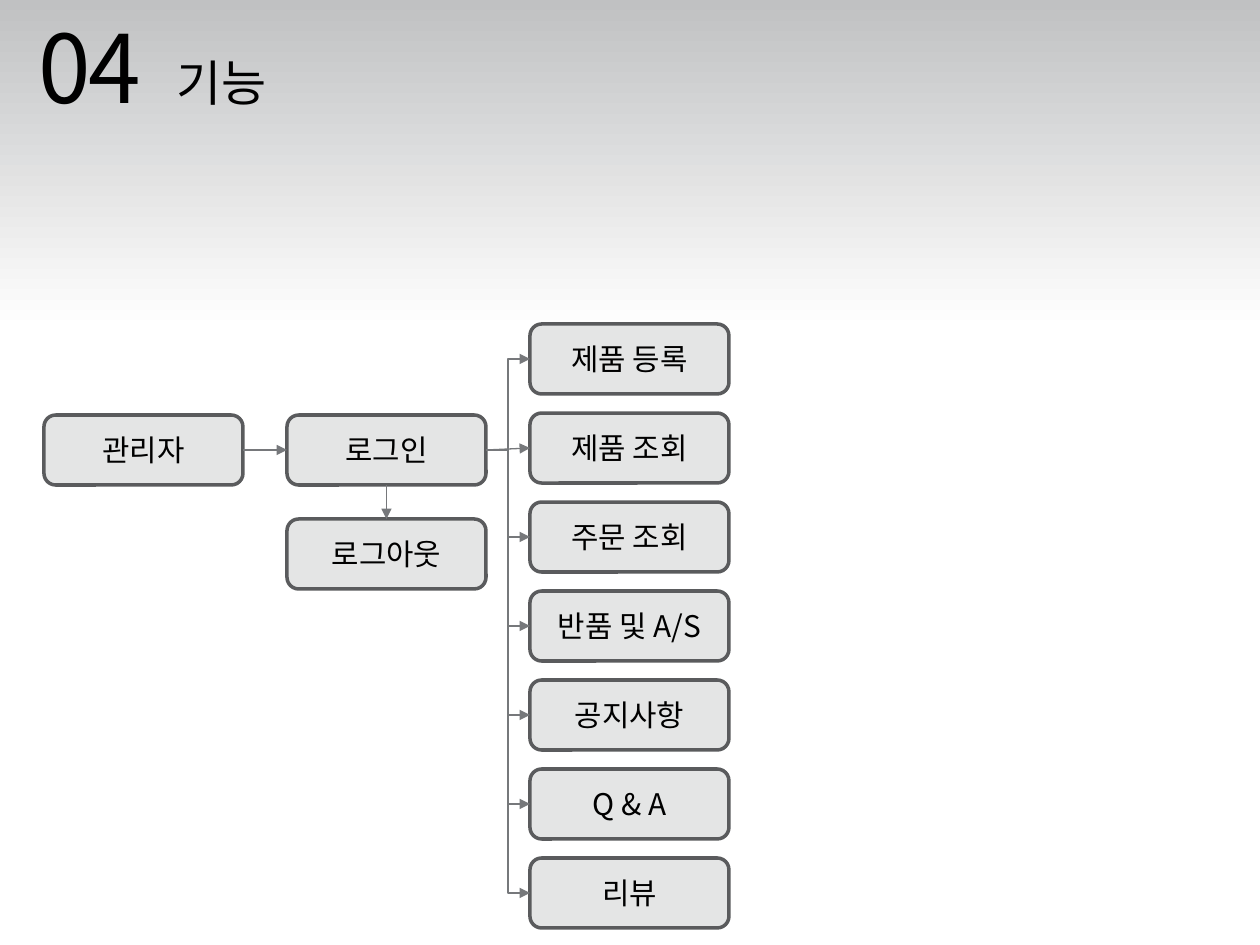
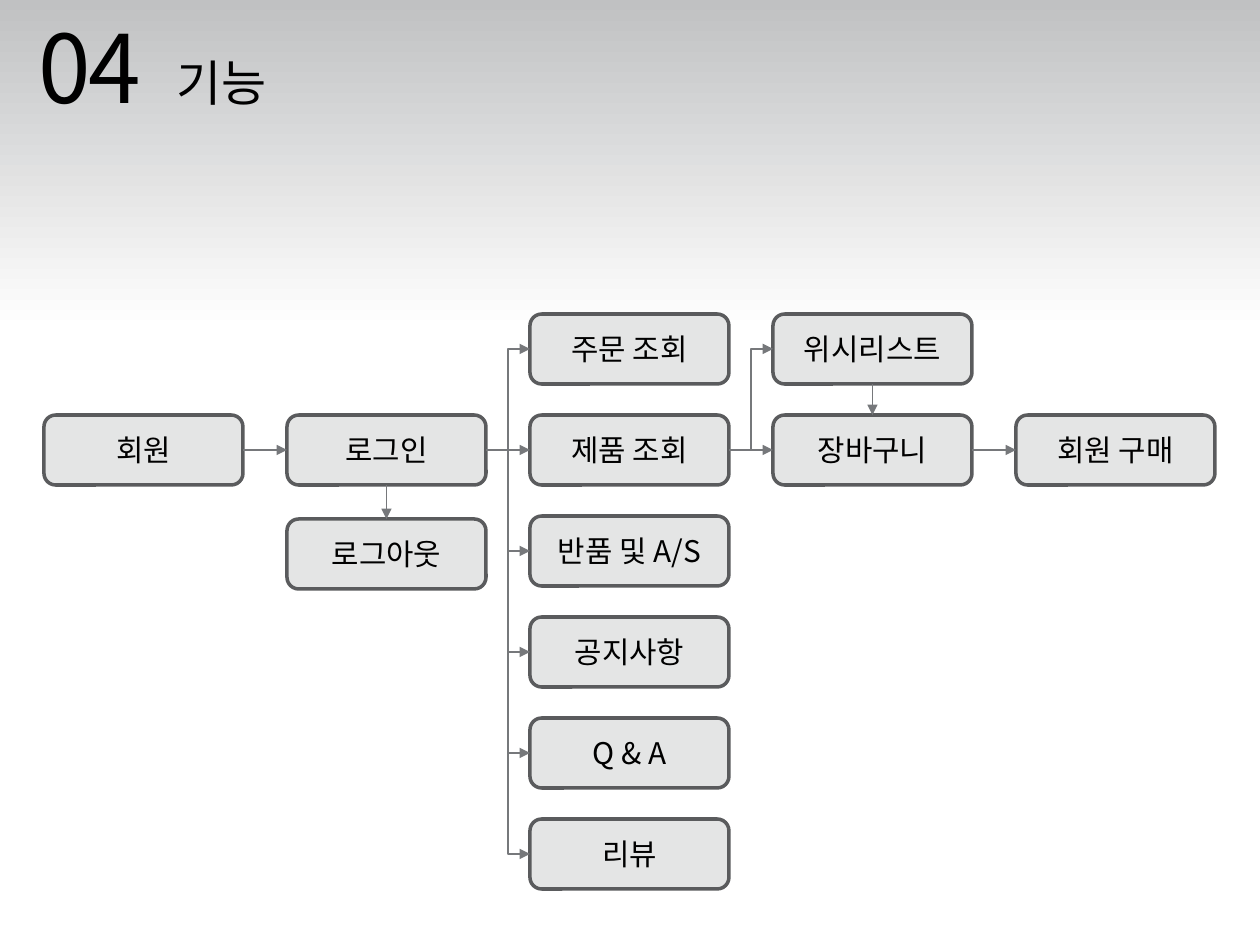
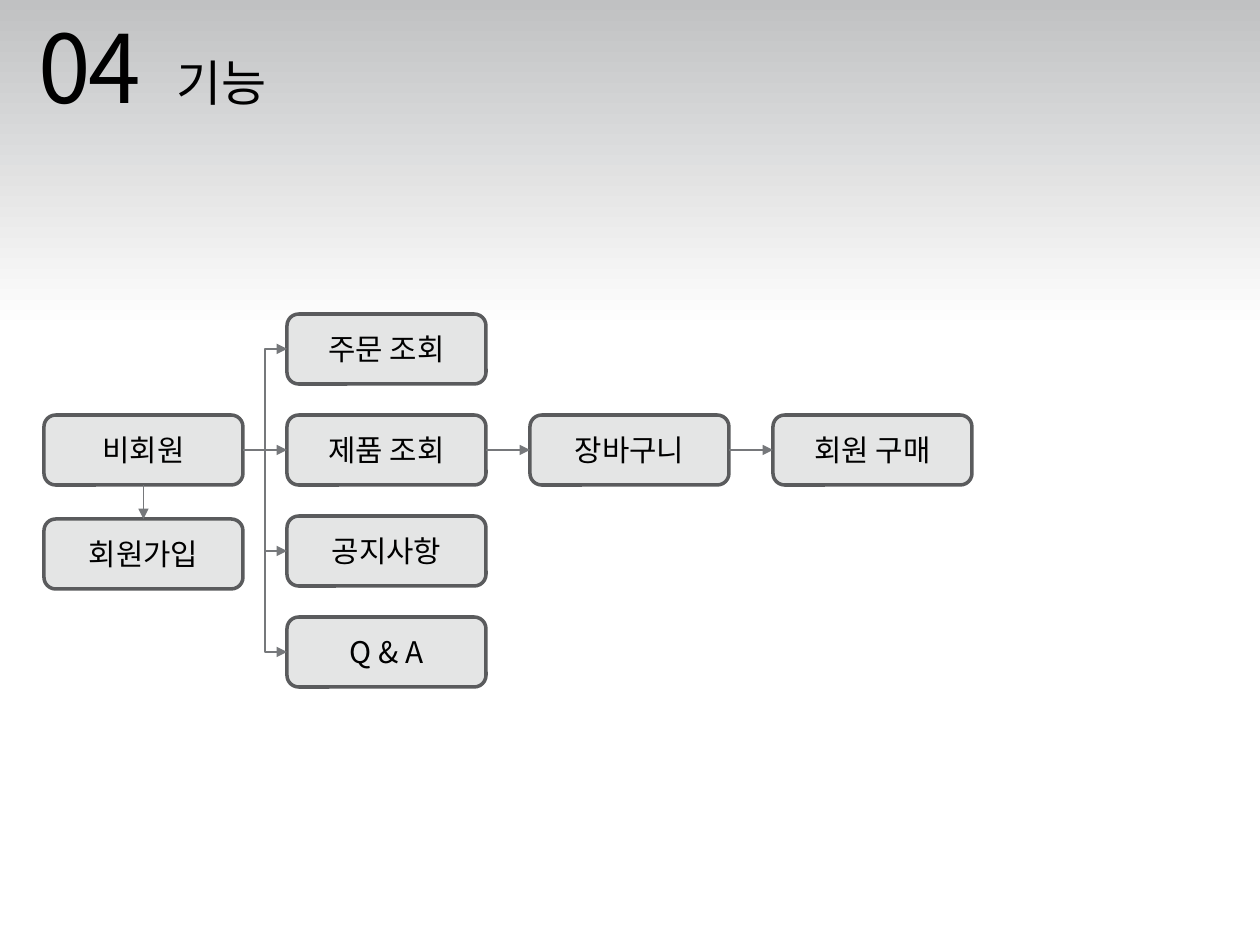
from pptx import Presentation
from pptx.dml.color import RGBColor
from pptx.enum.shapes import MSO_CONNECTOR as Connector, MSO_SHAPE as Shape
from pptx.enum.text import MSO_ANCHOR as Anchor, MSO_AUTO_SIZE as AutoSize, PP_ALIGN as Align
from pptx.oxml.ns import qn
from pptx.util import Emu, Pt
from lxml.etree import SubElement

PIXELS_PER_INCH = 126
FONT = "Noto Sans CJK KR"
COLORS = {
    "background_top": "C0C1C2",
    "background_bottom": "FFFFFF",
    "text": "000000",
    "box_fill": "E4E5E5",
    "box_line": "5A5B5D",
    "arrow": "76787B",
}
COLORS = {name: RGBColor.from_string(value) for name, value in COLORS.items()}

COLUMN_LEFT, COLUMN_PITCH = 44, 243
BOX_WIDTH, BOX_HEIGHT = 199, 70
MAIN_TOP, BELOW_TOP = 415, 519
TOP, LEFT, BOTTOM, RIGHT = range(4)

# Each flow: boxes outside the menu as (label, column, top), the menu column,
# its first top, its pitch and labels, then the arrows as (start, ends).
FLOWS = [
    {
        "boxes": [("관리자", 0, MAIN_TOP), ("로그인", 1, MAIN_TOP), ("로그아웃", 1, BELOW_TOP)],
        "menu": (2, 324, 89, ["제품 등록", "제품 조회", "주문 조회", "반품 및 A/S",
                              "공지사항", "Q & A", "리뷰"]),
        "menu_owner": "로그인",
        "arrows": [("관리자", "로그인"), ("로그인", "로그아웃")],
    },
    {
        "boxes": [("회원", 0, MAIN_TOP), ("로그인", 1, MAIN_TOP), ("로그아웃", 1, BELOW_TOP),
                  ("위시리스트", 3, 314), ("장바구니", 3, MAIN_TOP), ("회원 구매", 4, MAIN_TOP)],
        "menu": (2, 314, 101, ["주문 조회", "제품 조회", "반품 및 A/S",
                               "공지사항", "Q & A", "리뷰"]),
        "menu_owner": "로그인",
        "arrows": [("회원", "로그인"), ("로그인", "로그아웃"), ("제품 조회", "위시리스트"),
                   ("제품 조회", "장바구니"), ("위시리스트", "장바구니"), ("장바구니", "회원 구매")],
    },
    {
        "boxes": [("비회원", 0, MAIN_TOP), ("회원가입", 0, BELOW_TOP),
                  ("장바구니", 2, MAIN_TOP), ("회원 구매", 3, MAIN_TOP)],
        "menu": (1, 314, 101, ["주문 조회", "제품 조회", "공지사항", "Q & A"]),
        "menu_owner": "비회원",
        "arrows": [("비회원", "회원가입"), ("제품 조회", "장바구니"), ("장바구니", "회원 구매")],
    },
]


def px(*lengths):
    return [Emu(round(length * 914400 / PIXELS_PER_INCH)) for length in lengths]


def write(shape, text, size, align, anchor):
    """Put one line of text in a shape and return its run."""
    frame = shape.text_frame
    frame.text = text
    frame.word_wrap = True
    frame.vertical_anchor = anchor
    paragraph = frame.paragraphs[0]
    paragraph.alignment = align
    run = paragraph.runs[0]
    run.font.size = Pt(size)
    run.font.color.rgb = COLORS["text"]
    run.font.name = FONT
    SubElement(run.font._element, qn("a:ea"), typeface=FONT)
    return run


presentation = Presentation()
presentation.slide_width, presentation.slide_height = px(1260, 945)
title_only = presentation.slide_layouts[5]

background = presentation.slide_master.background.fill
background.gradient()
background.gradient_angle = 270
stops = zip(background.gradient_stops, (0, 0.35), ("background_top", "background_bottom"))
for stop, position, color in stops:
    stop.position = position
    stop.color.rgb = COLORS[color]

for flow in FLOWS:
    slide = presentation.slides.add_slide(title_only)
    shapes = slide.shapes

    title = shapes.title
    title.left, title.top, title.width, title.height = px(164, 53, 615, 72)
    number = shapes.add_textbox(*px(26, 16, 357, 127))
    write(title, "기능", 28, Align.LEFT, Anchor.TOP)
    number_run = write(number, "04", 54, Align.LEFT, Anchor.TOP)
    number_run.font._element.set("spc", "-150")
    for heading in (title, number):
        heading.text_frame.auto_size = AutoSize.SHAPE_TO_FIT_TEXT
        heading.text_frame.paragraphs[0].line_spacing = 0.9

    menu_column, menu_top, menu_pitch, menu_labels = flow["menu"]
    menu = [(label, menu_column, menu_top + row * menu_pitch)
            for row, label in enumerate(menu_labels)]
    boxes = {}
    for label, column, top in flow["boxes"] + menu:
        left = COLUMN_LEFT + column * COLUMN_PITCH
        box = shapes.add_shape(Shape.ROUNDED_RECTANGLE, *px(left, top, BOX_WIDTH, BOX_HEIGHT))
        box.shadow.inherit = False
        box.fill.solid()
        box.fill.fore_color.rgb = COLORS["box_fill"]
        box.line.color.rgb = COLORS["box_line"]
        box.line.width = Pt(2)
        write(box, label, 17, Align.CENTER, Anchor.MIDDLE)
        boxes[label] = box

    menu_arrows = [(flow["menu_owner"], label) for label in menu_labels]
    for start_label, end_label in flow["arrows"] + menu_arrows:
        start, end = boxes[start_label], boxes[end_label]
        same_column = start.left == end.left
        same_row = abs(start.top - end.top) < px(10)[0]
        kind = Connector.STRAIGHT if same_column or same_row else Connector.ELBOW
        arrow = shapes.add_connector(kind, 0, 0, 0, 0)
        arrow.begin_connect(start, BOTTOM if same_column else RIGHT)
        arrow.end_connect(end, TOP if same_column else LEFT)
        arrow.line.color.rgb = COLORS["arrow"]
        arrow.line.width = Pt(0.75)
        SubElement(arrow.line._get_or_add_ln(), qn("a:tailEnd"), type="triangle")
        SubElement(arrow._element.spPr, qn("a:effectLst"))

presentation.save("out.pptx")
